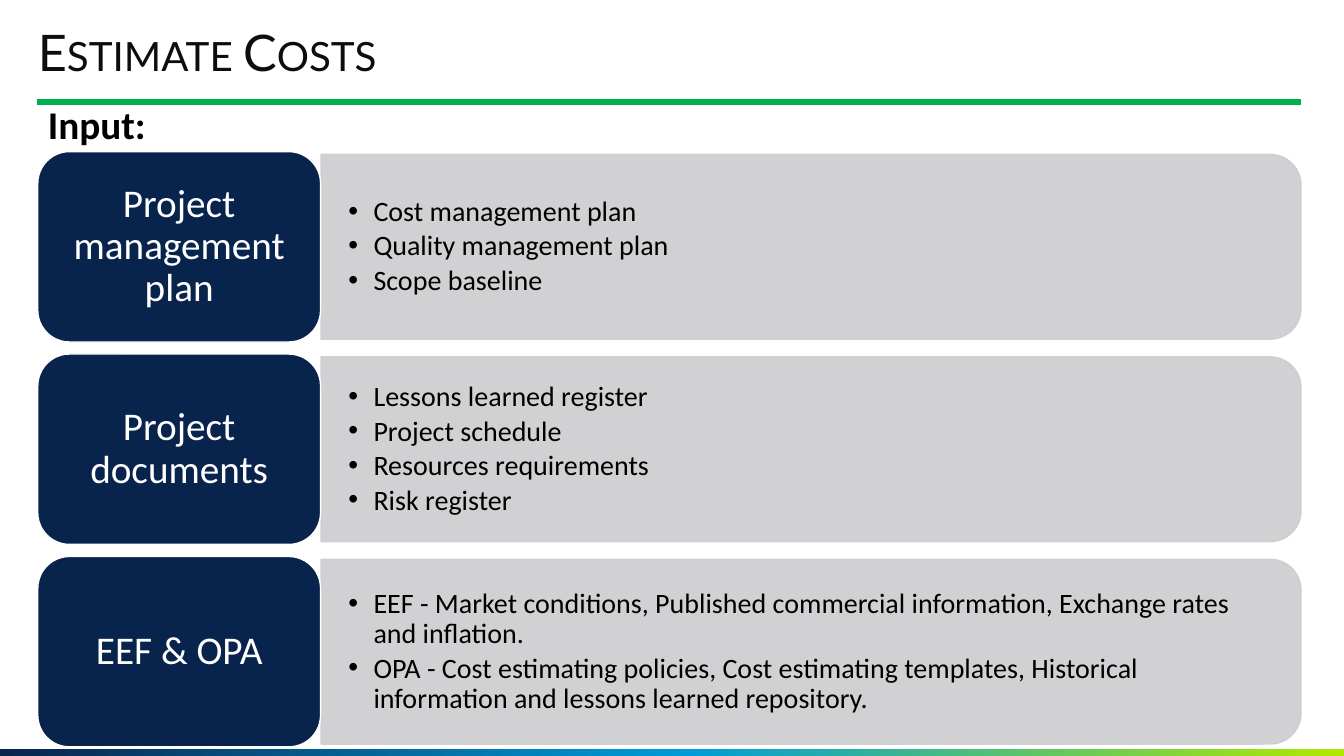
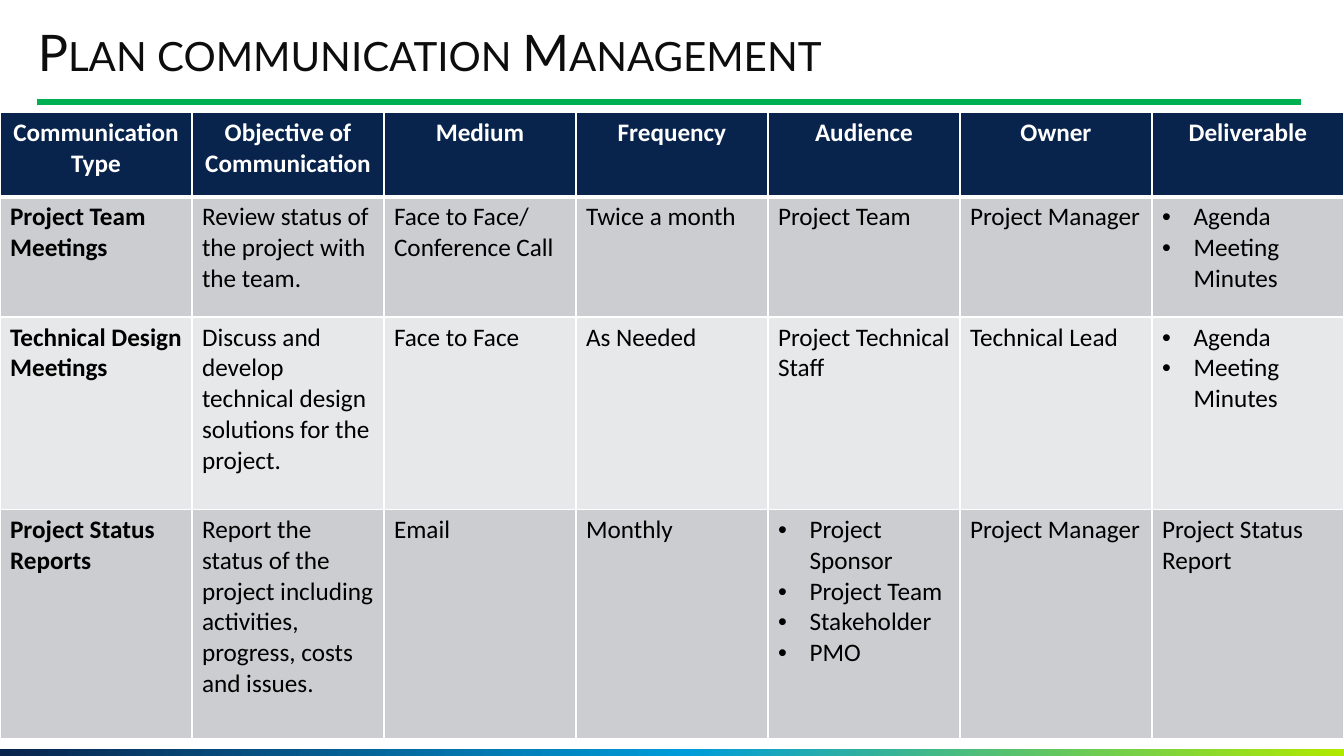
from copy import deepcopy

from lxml.etree import SubElement
from pptx import Presentation
from pptx.dml.color import RGBColor
from pptx.enum.shapes import MSO_CONNECTOR, MSO_SHAPE
from pptx.enum.text import MSO_ANCHOR, MSO_AUTO_SIZE, PP_ALIGN
from pptx.oxml.ns import qn
from pptx.util import Pt

HUES = {
    "navy": "09244C", "blue": "009CDA", "lime": "B0E900", "green": "00B050",
    "grey": "CCCDD0", "pale": "E7E8E9", "ink": "0D0D0D",
    "black": "000000", "white": "FFFFFF",
}
WIDE, HIGH = 960, 540
LEFT = 27


def rgb(hue):
    return RGBColor.from_string(HUES[hue])


def fade(fill, share):
    """Give the solid colour inside a fill or line an opacity in percent."""
    SubElement(fill.find(".//" + qn("a:srgbClr")), qn("a:alpha"), val=str(share * 1000))


class Deck:
    def __init__(self):
        self.prs = Presentation()
        self.prs.slide_width, self.prs.slide_height = Pt(WIDE), Pt(HIGH)
        self.slide = None

    # Slide frame: title, rule and bottom band
    def start(self, title, layout):
        self.slide = self.prs.slides.add_slide(self.prs.slide_layouts[layout])
        self.band()
        self.rule()
        head = self.slide.shapes.title
        self.place(head, LEFT, 19.5, 806, 40)
        self.label(head.text_frame, [title], 36, "ink", face="Lato", space=0.9,
                   pad=(0, 0), anchor=MSO_ANCHOR.MIDDLE)
        run = head.text_frame.paragraphs[0].runs[0]
        run._r.get_or_add_rPr().set("cap", "small")

    def band(self):
        band = self.shape(MSO_SHAPE.RECTANGLE, 0, 535, WIDE, 5)
        band.line.fill.background()
        band.fill.gradient()
        band.fill.gradient_angle = 0
        stops = band._element.find(".//" + qn("a:gsLst"))
        stops.insert(1, deepcopy(stops[0]))
        marks = [(0, "navy"), (0.51, "blue"), (1, "lime")]
        for stop, (pos, hue) in zip(band.fill.gradient_stops, marks):
            stop.position = pos
            stop.color.rgb = rgb(hue)

    def rule(self):
        rule = self.slide.shapes.add_connector(
            MSO_CONNECTOR.STRAIGHT, Pt(26.5), Pt(72.7), Pt(929.5), Pt(72.7))
        rule.line.color.rgb = rgb("green")
        rule.line.width = Pt(4.5)
        SubElement(rule._element.spPr, qn("a:effectLst"))

    # Basic parts
    def place(self, item, x, y, w, h):
        item.left, item.top, item.width, item.height = Pt(x), Pt(y), Pt(w), Pt(h)

    def shape(self, kind, x, y, w, h):
        item = self.slide.shapes.add_shape(kind, Pt(x), Pt(y), Pt(w), Pt(h))
        item.shadow.inherit = False
        return item

    def paint(self, item, fill, line):
        item.fill.solid()
        item.fill.fore_color.rgb = rgb(fill)
        item.line.color.rgb = rgb(line)
        item.line.width = Pt(1)

    def label(self, frame, lines, size, hue, pad=None, anchor=None, **look):
        frame.word_wrap = True
        frame.auto_size = MSO_AUTO_SIZE.NONE
        if anchor is not None:
            frame.vertical_anchor = anchor
        if pad:
            frame.margin_left = frame.margin_right = Pt(pad[0])
            frame.margin_top = frame.margin_bottom = Pt(pad[1])
        self.words(frame, lines, size, hue, **look)

    def words(self, frame, lines, size, hue, face="Calibri", bold=False,
              align=PP_ALIGN.LEFT, space=1.0, after=0, hang=0):
        frame.text = "\n".join(lines)
        for para in frame.paragraphs:
            self.mark(para, hang)
            para.alignment = align
            para.line_spacing = space
            para.space_before, para.space_after = Pt(0), Pt(after)
            font = para.font
            font.name, font.size, font.bold = face, Pt(size), bold
            font.color.rgb = rgb(hue)

    def mark(self, para, hang):
        props = para._p.get_or_add_pPr()
        props.set("marL", str(Pt(hang)))
        props.set("indent", str(Pt(-hang)))
        if hang:
            SubElement(props, qn("a:buFont"), typeface="Arial")
            SubElement(props, qn("a:buChar"), char="•")
        else:
            SubElement(props, qn("a:buNone"))

    # Body line under the rule
    def lead(self, text):
        body = self.slide.placeholders[1]
        self.place(body, LEFT, 72, 902, 40)
        self.label(body.text_frame, [text], 28, "black", bold=True, space=0.9,
                   anchor=MSO_ANCHOR.TOP)

    # Navy label with a grey bar of bullets
    def block(self, y, label, items):
        x, w, h = 229.3, 700, 132
        # The bar is an upright shape turned a quarter about its centre
        bar = self.shape(MSO_SHAPE.ROUND_2_SAME_RECTANGLE,
                         x + (w - h) / 2, y + 2 + (h - w) / 2, h, w)
        bar.rotation = 90
        self.paint(bar, "grey", "grey")
        fade(bar._element.spPr.find(qn("a:solidFill")), 90)
        fade(bar._element.spPr.find(qn("a:ln")), 90)

        box = self.slide.shapes.add_textbox(Pt(x), Pt(y + 2), Pt(w - 6), Pt(h))
        self.label(box.text_frame, items, 20, "black", pad=(19.5, 10),
                   anchor=MSO_ANCHOR.MIDDLE, space=0.9, after=3, hang=18)

        tab = self.shape(MSO_SHAPE.ROUNDED_RECTANGLE, LEFT, y, 202, 136)
        self.paint(tab, "navy", "white")
        self.label(tab.text_frame, [label], 28, "white", pad=(15, 11),
                   anchor=MSO_ANCHOR.MIDDLE, align=PP_ALIGN.CENTER, space=0.9)

    # Table: a string is plain text, a list is bulleted
    def table(self, y, highs, rows):
        cols = len(rows[0])
        grid = self.slide.shapes.add_table(
            len(rows), cols, 0, Pt(y), Pt(WIDE), Pt(sum(highs))).table
        grid.horz_banding = False
        for col in grid.columns:
            col.width = Pt(WIDE / cols)
        for r, (high, row) in enumerate(zip(highs, rows)):
            grid.rows[r].height = Pt(high)
            for c, text in enumerate(row):
                self.cell(grid.cell(r, c), r, c, text)

    def cell(self, cell, r, c, text):
        head = r == 0
        self.edge(cell, top=3 if r == 1 else 1, base=3 if head else 1)
        cell.fill.solid()
        cell.fill.fore_color.rgb = rgb("navy" if head else "grey" if r % 2 else "pale")
        dots = isinstance(text, list)
        self.words(cell.text_frame, text if dots else [text], 18,
                   "white" if head else "black", bold=head or c == 0,
                   align=PP_ALIGN.CENTER if head else PP_ALIGN.LEFT,
                   hang=22.5 if dots else 0)

    def edge(self, cell, top, base):
        props = cell._tc.get_or_add_tcPr()
        for side, size in (("L", 1), ("R", 1), ("T", top), ("B", base)):
            line = SubElement(props, qn("a:ln" + side), w=str(Pt(size)))
            fill = SubElement(line, qn("a:solidFill"))
            SubElement(fill, qn("a:srgbClr"), val=HUES["white"])


BLOCKS = [
    ("Project management plan",
     ["Cost management plan", "Quality management plan", "Scope baseline"]),
    ("Project documents",
     ["Lessons learned register", "Project schedule",
      "Resources requirements", "Risk register"]),
    ("EEF & OPA",
     ["EEF - Market conditions, Published commercial information, "
      "Exchange rates and inflation.",
      "OPA - Cost estimating policies, Cost estimating templates, "
      "Historical information and lessons learned repository."]),
]

NOTES = ["Agenda", "Meeting Minutes"]
ROWS = [
    ["Communication Type", "Objective of Communication", "Medium", "Frequency",
     "Audience", "Owner", "Deliverable"],
    ["Project Team Meetings", "Review status of the project with the team.",
     "Face to Face/\nConference Call", "Twice a month", "Project Team",
     "Project Manager", NOTES],
    ["Technical Design Meetings",
     "Discuss and develop technical design solutions for the project.",
     "Face to Face", "As Needed", "Project Technical Staff", "Technical Lead", NOTES],
    ["Project Status Reports",
     "Report the status of the project including activities, progress, "
     "costs and issues.",
     "Email", "Monthly",
     ["Project Sponsor", "Project Team", "Stakeholder", "PMO"],
     "Project Manager", "Project Status Report"],
]


def main():
    deck = Deck()

    # Slide 1: inputs
    deck.start("Estimate Costs", 1)
    deck.lead("Input:")
    for n, (label, items) in enumerate(BLOCKS):
        deck.block(108.3 + n * 144.6, label, items)

    # Slide 2: communication table
    deck.start("Plan communication Management", 5)
    deck.table(80.5, [60, 86, 137.5, 163.5], ROWS)

    deck.prs.save("out.pptx")


if __name__ == "__main__":
    main()
